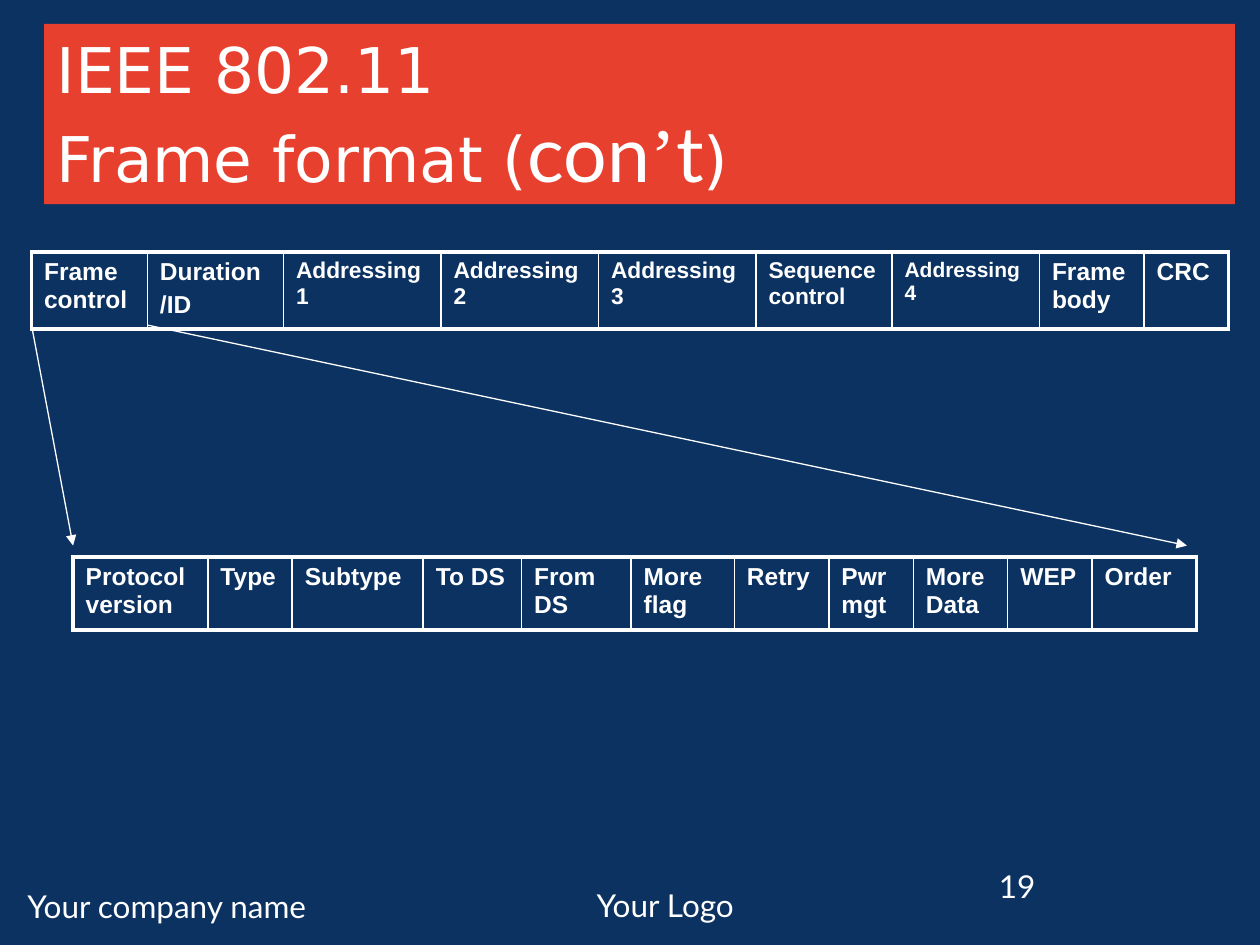
from lxml import etree
from pptx import Presentation
from pptx.dml.color import RGBColor
from pptx.enum.shapes import MSO_CONNECTOR, MSO_SHAPE
from pptx.enum.text import MSO_ANCHOR, PP_ALIGN
from pptx.oxml.ns import qn
from pptx.util import Inches, Pt

NAVY = RGBColor(0x0B, 0x32, 0x61)
RED = RGBColor(0xE8, 0x40, 0x2E)
WHITE = RGBColor(0xFF, 0xFF, 0xFF)

# Each field: text, column width, font size
FRAME_FIELDS = [
    ("Frame control", 0.92, 14), ("Duration\n/ID", 1.08, 14),
    ("Addressing 1", 1.25, 13), ("Addressing 2", 1.25, 13),
    ("Addressing 3", 1.25, 13), ("Sequence control", 1.08, 13),
    ("Addressing 4", 1.17, 12), ("Frame body", 0.83, 14), ("CRC", 0.67, 14),
]
CONTROL_FIELDS = [
    ("Protocol version", 1.07, 14), ("Type", 0.67, 14), ("Subtype", 1.04, 14),
    ("To DS", 0.78, 14), ("From DS", 0.87, 14), ("More flag", 0.82, 14),
    ("Retry", 0.75, 14), ("Pwr mgt", 0.67, 14), ("More Data", 0.75, 14),
    ("WEP", 0.67, 14), ("Order", 0.83, 14),
]


def add_run(p, text, size, font, bold=False):
    r = p.add_run()
    r.text = text
    r.font.size = Pt(size)
    r.font.name = font
    r.font.bold = bold
    r.font.color.rgb = WHITE


def add_title(s):
    sp = s.shapes.add_shape(MSO_SHAPE.RECTANGLE, Inches(0.35), Inches(0.19),
                            Inches(9.45), Inches(1.43))
    sp.shadow.inherit = False
    sp.fill.solid()
    sp.fill.fore_color.rgb = RED
    sp.line.fill.background()
    tf = sp.text_frame
    tf.word_wrap = True
    tf.vertical_anchor = MSO_ANCHOR.MIDDLE
    p = tf.paragraphs[0]
    p.alignment = PP_ALIGN.LEFT
    add_run(p, "IEEE 802.11 ", 36, "DejaVu Sans")
    p.add_line_break()
    add_run(p, "Frame format (", 36, "DejaVu Sans")
    add_run(p, "con", 44, "Lato")
    add_run(p, "’", 44, "Times New Roman")
    add_run(p, "t", 44, "Lato")
    add_run(p, ")", 36, "DejaVu Sans")


def add_footer(s, text, left, top, width, height, align=PP_ALIGN.LEFT):
    sp = s.shapes.add_textbox(Inches(left), Inches(top), Inches(width), Inches(height))
    tf = sp.text_frame
    tf.word_wrap = True
    p = tf.paragraphs[0]
    p.alignment = align
    add_run(p, text, 18, "Lato")


def set_borders(cell, **widths):
    """Put white borders, given in points by side, ahead of the cell's fill."""
    tc_pr = cell._tc.get_or_add_tcPr()
    for i, (side, width) in enumerate(widths.items()):
        ln = etree.Element(qn(f"a:ln{side}"), w=str(Pt(width)))
        fill = etree.SubElement(ln, qn("a:solidFill"))
        etree.SubElement(fill, qn("a:srgbClr"), val=str(WHITE))
        tc_pr.insert(i, ln)


def add_field_row(s, fields, left, top, height):
    """Draw one frame layout as a one-row table."""
    total = sum(width for _, width, _ in fields)
    table = s.shapes.add_table(1, len(fields), Inches(left), Inches(top),
                               Inches(total), Inches(height)).table
    table.first_row = table.horz_banding = False
    table.rows[0].height = Inches(height)
    last = len(fields) - 1
    for i, (text, width, size) in enumerate(fields):
        table.columns[i].width = Inches(width)
        cell = table.cell(0, i)
        cell.fill.background()
        set_borders(cell, L=2.25 if i == 0 else 1, R=2.25 if i == last else 1,
                    T=2.25, B=2.25)
        tf = cell.text_frame
        for n, line in enumerate(text.split("\n")):
            p = tf.add_paragraph() if n else tf.paragraphs[0]
            p.space_before = Pt(0.2 * size if n else 0)
            add_run(p, line, size, "Arial", bold=True)


def add_arrow(s, x1, y1, x2, y2):
    c = s.shapes.add_connector(MSO_CONNECTOR.STRAIGHT, Inches(x1), Inches(y1),
                               Inches(x2), Inches(y2))
    c.line.color.rgb = WHITE
    c.line.width = Pt(0.75)
    etree.SubElement(c.line._get_or_add_ln(), qn("a:tailEnd"), type="triangle")
    etree.SubElement(c._element.spPr, qn("a:effectLst"))


def main():
    prs = Presentation()
    prs.slide_width, prs.slide_height = Inches(10), Inches(7.5)
    s = prs.slides.add_slide(prs.slide_layouts[6])
    s.background.fill.solid()
    s.background.fill.fore_color.rgb = NAVY

    add_footer(s, "Your company name", 0.12, 6.99, 8.5, 0.34)
    add_footer(s, "Your Logo", 4.53, 6.98, 1.5, 0.42, PP_ALIGN.CENTER)
    add_footer(s, "19", 7.83, 6.83, 2.08, 0.5)
    add_title(s)
    add_field_row(s, CONTROL_FIELDS, 0.58, 4.42, 0.58)
    add_arrow(s, 0.25, 2.58, 0.58, 4.33)
    add_arrow(s, 1.17, 2.58, 9.42, 4.33)
    add_field_row(s, FRAME_FIELDS, 0.25, 2, 0.61)
    prs.save("out.pptx")


if __name__ == "__main__":
    main()
